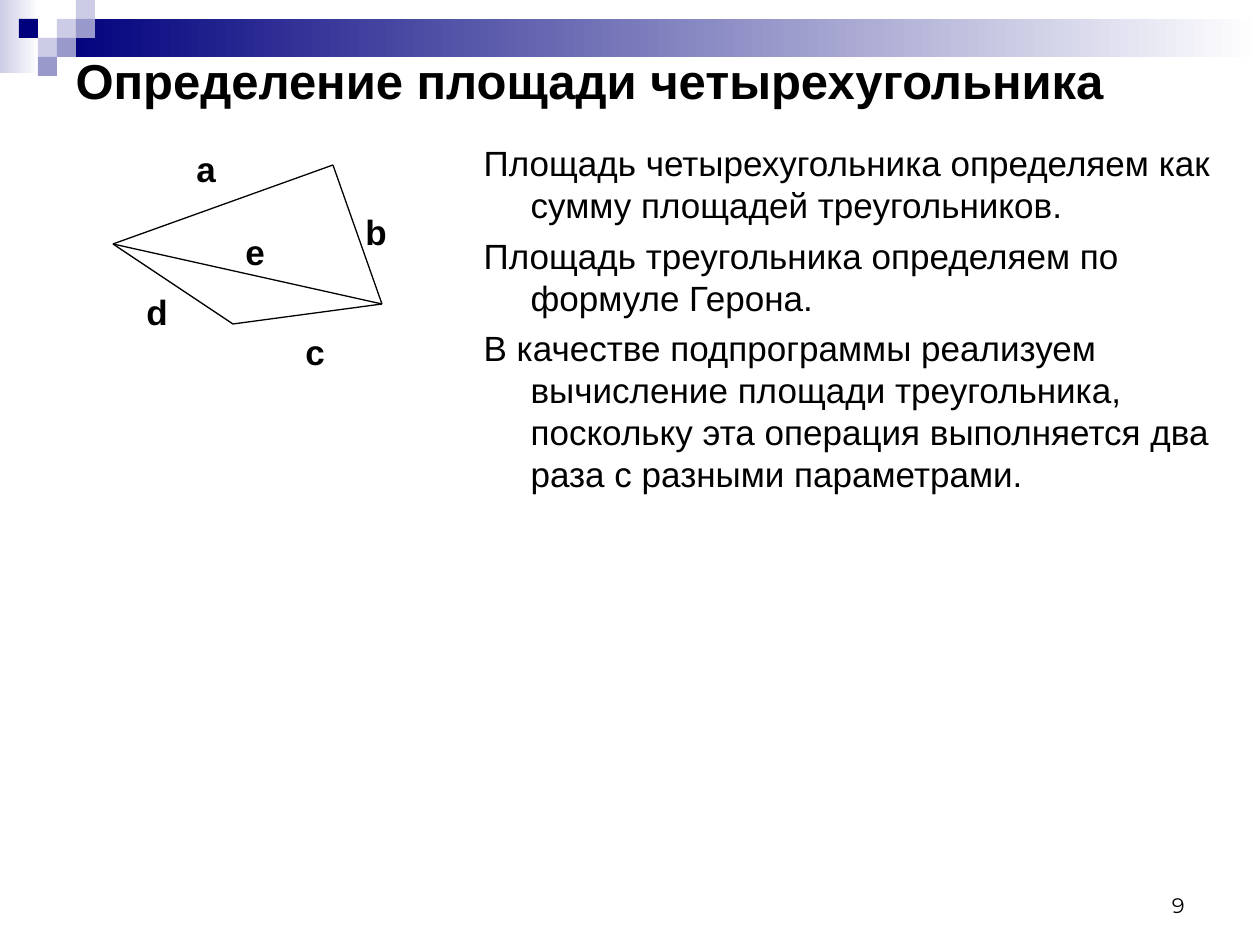
from lxml.etree import SubElement
from pptx import Presentation
from pptx.dml.color import RGBColor as Color
from pptx.enum.shapes import MSO_CONNECTOR as Connector, MSO_SHAPE as Shape
from pptx.enum.text import MSO_ANCHOR as Anchor, MSO_AUTO_SIZE as AutoSize, PP_ALIGN as Align
from pptx.oxml.ns import qn
from pptx.util import Pt

SCALE = 914400 / 126
CELL = 19
COLORS = {"navy": "00007D", "violet": "9999CC", "pale": "CCCCE6",
          "white": "FFFFFF", "ink": "000000"}

TITLE = "Определение площади четырехугольника"
STEPS = [
    "Площадь четырехугольника определяем как сумму площадей треугольников.",
    "Площадь треугольника определяем по формуле Герона.",
    "В качестве подпрограммы реализуем вычисление площади треугольника, "
    "поскольку эта операция выполняется два раза с разными параметрами.",
]

GRADIENT_BARS = [((0, 0, 39, 73), "pale"), ((57, 19, 1203, 38), "navy")]
# Column and row of each square, in cells
SQUARES = [(3, 1, "pale"), (4, 0, "pale"), (4, 1, "violet"), (2, 2, "pale"),
           (1, 1, "navy"), (3, 2, "violet"), (2, 3, "violet")]

LEFT, TOP, RIGHT, BOTTOM = (113, 244), (333, 165), (382, 304), (233, 324)
EDGES = [(LEFT, TOP), (TOP, RIGHT), (RIGHT, BOTTOM), (LEFT, BOTTOM), (LEFT, RIGHT)]
EDGE_LABELS = {"a": (184, 141, 44, 55), "b": (353, 204, 46, 55), "c": (293, 324, 44, 55),
               "d": (134, 284, 46, 55), "e": (233, 224, 44, 55)}


def px(*lengths):
    return [round(length * SCALE) for length in lengths]


def rgb(name):
    return Color.from_string(COLORS[name])


def set_all(target, values):
    for name, value in values.items():
        setattr(target, name, value)


def write(para, text, size, font="Arial", bold=False):
    span = para.add_run()
    span.text = text
    set_all(span.font, {"size": Pt(size), "name": font, "bold": bold})
    span.font.color.rgb = rgb("ink")


def add_rectangle(page, place):
    box = page.shapes.add_shape(Shape.RECTANGLE, *px(*place))
    box.shadow.inherit = False
    box.line.fill.background()
    return box


def add_gradient_bar(page, place, color):
    fill = add_rectangle(page, place).fill
    fill.gradient()
    fill.gradient_angle = 0
    for stop, name, position in zip(fill.gradient_stops, (color, "white"), (0, 1)):
        stop.color.rgb = rgb(name)
        stop.position = position


def add_square(page, column, row, color):
    fill = add_rectangle(page, (column * CELL, row * CELL, CELL, CELL)).fill
    fill.solid()
    fill.fore_color.rgb = rgb(color)


def add_edge(page, start, end):
    edge = page.shapes.add_connector(Connector.STRAIGHT, *px(*start, *end))
    edge.line.color.rgb = rgb("ink")
    edge.line.width = Pt(0.75)
    SubElement(edge._element.spPr, qn("a:effectLst"))


def add_label(page, place, text, frame_format, align=Align.LEFT, **font):
    frame = page.shapes.add_textbox(*px(*place)).text_frame
    set_all(frame, frame_format)
    para = frame.paragraphs[0]
    para.alignment = align
    write(para, text, **font)


def place_placeholder(box, place, anchor):
    set_all(box, dict(zip(("left", "top", "width", "height"), px(*place))))
    set_all(box.text_frame, {"word_wrap": True, "auto_size": AutoSize.NONE,
                             "vertical_anchor": anchor})
    return box.text_frame


def fill_title(page):
    frame = place_placeholder(page.shapes.title, (63, 55, 1163, 49), Anchor.MIDDLE)
    para = frame.paragraphs[0]
    para.alignment = Align.LEFT
    write(para, TITLE, 28, bold=True)


def fill_body(page):
    frame = place_placeholder(page.placeholders[1], (471, 135, 755, 774), Anchor.TOP)
    (indent,) = px(47)
    for index, text in enumerate(STEPS):
        para = frame.add_paragraph() if index else frame.paragraphs[0]
        properties = para._p.get_or_add_pPr()
        set_all(para, {"alignment": Align.LEFT, "space_before": Pt(5 if index else 0)})
        properties.set("marL", str(indent))
        properties.set("indent", str(-indent))
        SubElement(properties, qn("a:buNone"))
        write(para, text, 20)


def main():
    deck = Presentation()
    deck.slide_width, deck.slide_height = px(1260, 945)
    page = deck.slides.add_slide(deck.slide_layouts[1])
    for place, color in GRADIENT_BARS:
        add_gradient_bar(page, place, color)
    for square in SQUARES:
        add_square(page, *square)
    add_label(page, (903, 861, 294, 63), "9",
              {"word_wrap": True, "vertical_anchor": Anchor.BOTTOM},
              Align.RIGHT, size=12, font="Montserrat")
    fill_title(page)
    fill_body(page)
    for start, end in EDGES:
        add_edge(page, start, end)
    for text, place in EDGE_LABELS.items():
        add_label(page, place, text,
                  {"word_wrap": False, "auto_size": AutoSize.SHAPE_TO_FIT_TEXT},
                  size=20, bold=True)
    deck.save("out.pptx")


if __name__ == "__main__":
    main()
